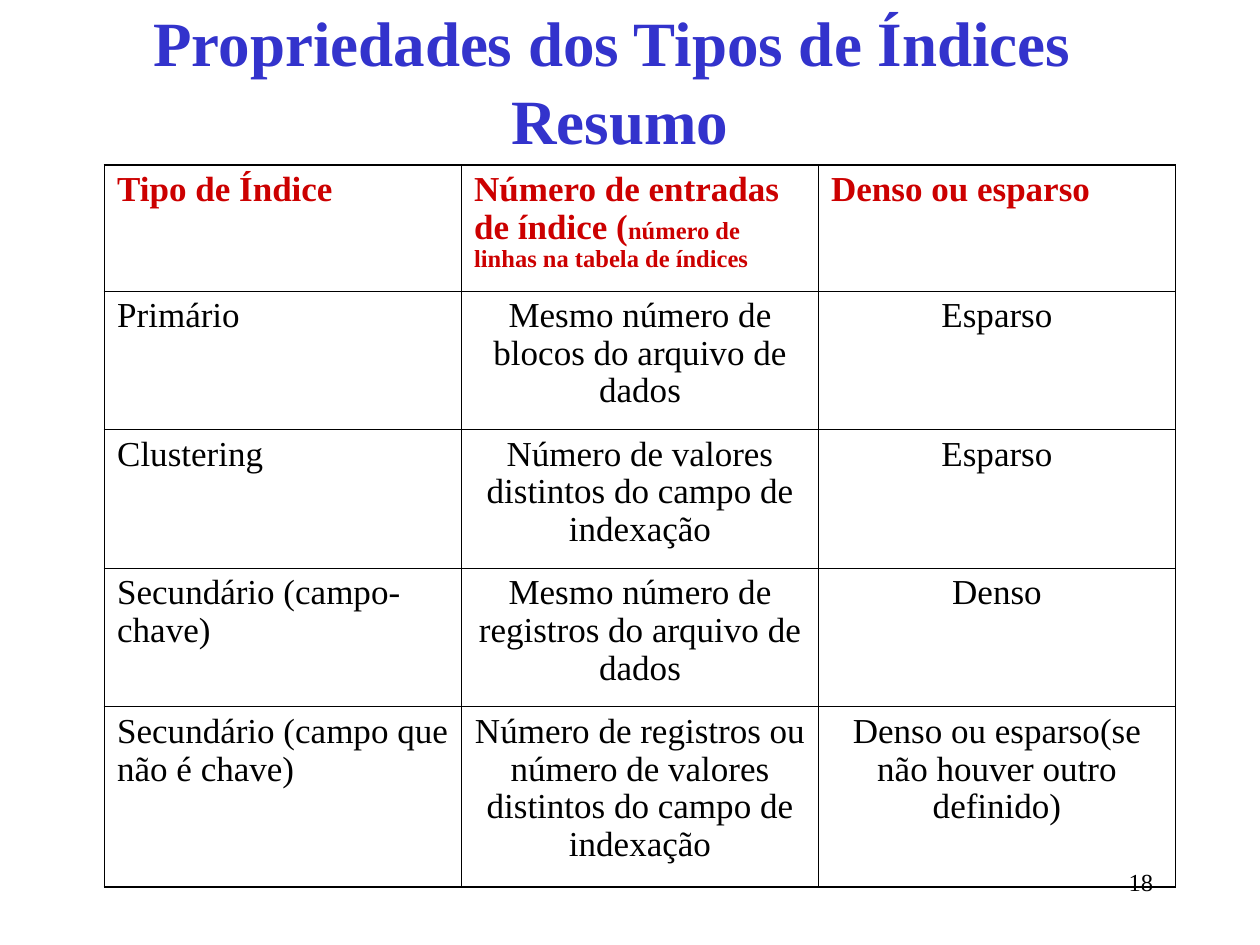
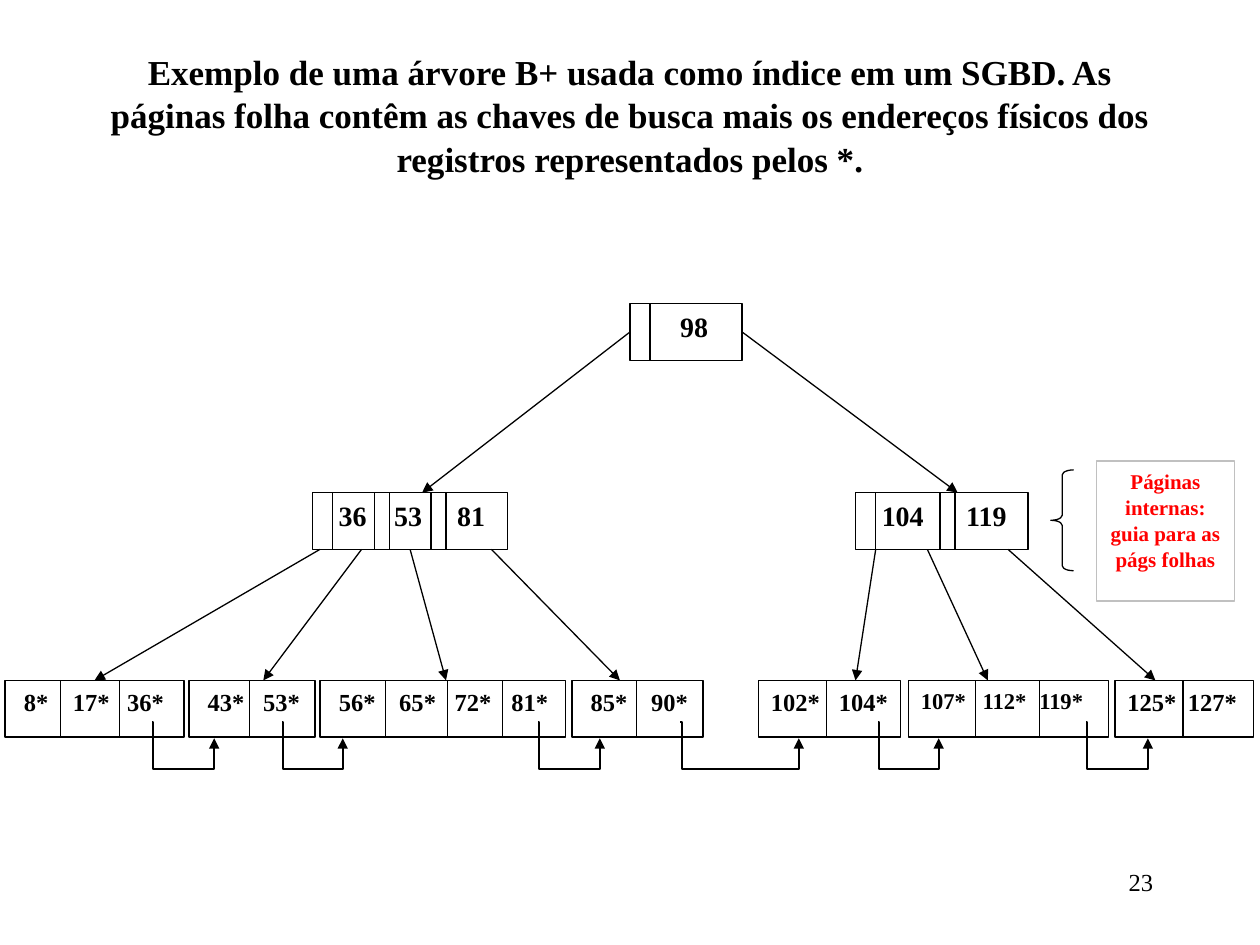
"""Build two slides on database indexes: a summary table and a B+ tree."""
from dataclasses import dataclass

from lxml.etree import SubElement
from pptx import Presentation
from pptx.dml.color import RGBColor
from pptx.enum.shapes import MSO_CONNECTOR, MSO_SHAPE
from pptx.enum.text import MSO_ANCHOR, MSO_AUTO_SIZE, PP_ALIGN
from pptx.oxml.ns import qn
from pptx.util import Inches, Pt


@dataclass(frozen=True)
class Theme:
    font: str = "Times New Roman"
    black: RGBColor = RGBColor(0x00, 0x00, 0x00)
    white: RGBColor = RGBColor(0xFF, 0xFF, 0xFF)
    blue: RGBColor = RGBColor(0x33, 0x33, 0xCC)
    header_red: RGBColor = RGBColor(0xCC, 0x00, 0x00)
    note_red: RGBColor = RGBColor(0xFF, 0x00, 0x00)
    gray: RGBColor = RGBColor(0xC0, 0xC0, 0xC0)
    title_size: float = 36
    text_size: float = 20
    node_size: float = 16
    small_size: float = 14
    tight_size: float = 12.9
    note_size: float = 12
    thin: float = 0.75
    thick: float = 1.25
    inner_border: float = 0.45
    outer_border: float = 1.08
    loose_spacing: float = 1.04
    table_spacing: float = 0.97


theme = Theme()


def format_text(text_frame, size, color=theme.black, bold=False, align=PP_ALIGN.LEFT, spacing=None):
    text_frame.word_wrap = True
    for paragraph in text_frame.paragraphs:
        paragraph.alignment = align
        paragraph.line_spacing = spacing
        for run in paragraph.runs:
            run.font.name = theme.font
            run.font.size = Pt(size)
            run.font.bold = bold
            run.font.color.rgb = color


def add_line(slide, start, end, arrow=False, kind=MSO_CONNECTOR.STRAIGHT, width=theme.thin):
    connector = slide.shapes.add_connector(kind, *map(Inches, start + end))
    connector.line.color.rgb = theme.black
    connector.line.width = Pt(width)
    properties = connector._element.spPr
    if arrow:
        SubElement(properties.find(qn("a:ln")), qn("a:tailEnd"), type="triangle")
    SubElement(properties, qn("a:effectLst"))
    return connector


presentation = Presentation()
presentation.slide_width = Inches(10)
presentation.slide_height = Inches(7.5)

slide_heads = [
    ("Propriedades dos Tipos de Índices \vResumo", 0.67, 0, theme.title_size, theme.blue, "18"),
    ("Exemplo de uma árvore B+ usada como índice em um SGBD. As páginas folha contêm as chaves de "
     "busca mais os endereços físicos dos registros representados pelos *.",
     0.75, 0.28, theme.text_size, theme.black, "23"),
]
slides = []
for text, left, top, size, color, number in slide_heads:
    slide = presentation.slides.add_slide(presentation.slide_layouts[5])
    title = slide.shapes.title
    title.left, title.top, title.width, title.height = map(Inches, (left, top, 8.5, 1.25))
    title.text_frame.text = text
    title.text_frame.auto_size = MSO_AUTO_SIZE.NONE
    title.text_frame.vertical_anchor = MSO_ANCHOR.MIDDLE
    format_text(title.text_frame, size, color, True, PP_ALIGN.CENTER, theme.loose_spacing)
    number_box = slide.shapes.add_textbox(Inches(7.17), Inches(6.83), Inches(2.08), Inches(0.5))
    number_box.text_frame.text = number
    format_text(number_box.text_frame, theme.small_size, align=PP_ALIGN.RIGHT)
    slides.append(slide)
summary_slide, tree_slide = slides

index_rows = [
    ("Tipo de Índice", "Número de entradas de índice (", "Denso ou esparso"),
    ("Primário", "Mesmo número de blocos do arquivo de dados", "Esparso"),
    ("Clustering", "Número de valores distintos do campo de indexação", "Esparso"),
    ("Secundário (campo-chave)", "Mesmo número de registros do arquivo de dados", "Denso"),
    ("Secundário (campo que não é chave)",
     "Número de registros ou número de valores distintos do campo de indexação",
     "Denso ou esparso(se não houver outro definido)"),
]
row_heights = [1, 1.1, 1.1, 1.1, 1.43]
last_row, last_column = len(index_rows) - 1, len(index_rows[0]) - 1
table = summary_slide.shapes.add_table(
    len(index_rows), len(index_rows[0]), Inches(0.83), Inches(1.31), Inches(8.5), Inches(5.73)).table
table.first_row = False
table.horz_banding = False
for row, height in zip(table.rows, row_heights):
    row.height = Inches(height)
for row_index, texts in enumerate(index_rows):
    for column_index, text in enumerate(texts):
        cell = table.cell(row_index, column_index)
        cell.text_frame.text = text
        is_header = row_index == 0
        centered = not is_header and column_index > 0
        format_text(cell.text_frame, theme.text_size, theme.header_red if is_header else theme.black,
                    is_header, PP_ALIGN.CENTER if centered else PP_ALIGN.LEFT, theme.table_spacing)
        cell_properties = cell._tc.get_or_add_tcPr()
        outer_sides = {"lnL": column_index == 0, "lnR": column_index == last_column,
                       "lnT": row_index == 0, "lnB": row_index == last_row}
        for side, is_outer in outer_sides.items():
            width = Pt(theme.outer_border if is_outer else theme.inner_border)
            border = SubElement(cell_properties, qn(f"a:{side}"), w=str(width))
            border_fill = SubElement(border, qn("a:solidFill"))
            SubElement(border_fill, qn("a:srgbClr"), val=str(theme.black))
        cell.fill.background()
entries_paragraph = table.cell(0, 1).text_frame.paragraphs[0]
detail = entries_paragraph.add_run()
detail.text = "número de linhas na tabela de índices"
detail.font.name = theme.font
detail.font.size = Pt(theme.small_size)
detail.font.bold = True
detail.font.color.rgb = theme.header_red

node_height = 0.45
root_top, inner_top, leaf_top = 2.41, 3.91, 5.4
inner_bottom = inner_top + node_height
nodes = [
    (5, root_top, 0.89, theme.node_size, [(0.3, "98")], [5.16]),
    (2.48, inner_top, 1.55, theme.node_size, [(0.11, "36"), (0.55, "53"), (1.05, "81")],
     [2.64, 2.97, 3.09, 3.42, 3.54]),
    (6.79, inner_top, 1.37, theme.node_size, [(0.11, "104"), (0.78, "119")], [6.95, 7.46, 7.58]),
    (0.04, leaf_top, 1.42, theme.small_size, [(0.05, "8*"), (0.44, "17*"), (0.87, "36*")], [0.48, 0.95]),
    (1.5, leaf_top, 1, theme.small_size, [(0.05, "43*"), (0.49, "53*")], [1.98]),
    (2.54, leaf_top, 1.95, theme.small_size,
     [(0.05, "56*"), (0.53, "65*"), (0.97, "72*"), (1.42, "81*")], [3.06, 3.55, 3.99]),
    (4.54, leaf_top, 1.04, theme.small_size, [(0.05, "85*"), (0.53, "90*")], [5.05]),
    (6.02, leaf_top, 1.13, theme.small_size, [(0, "102*"), (0.54, "104*")], [6.56]),
    (7.21, leaf_top, 1.59, theme.tight_size, [(0, "107*"), (0.49, "112*"), (0.94, "119*")], [7.74, 8.25]),
    (8.85, leaf_top, 1.1, theme.small_size, [(0, "125*"), (0.48, "127*")], [9.39]),
]
node_shapes = []
for left, top, width, size, keys, dividers in nodes:
    node = tree_slide.shapes.add_shape(
        MSO_SHAPE.RECTANGLE, Inches(left), Inches(top), Inches(width), Inches(node_height))
    node.shadow.inherit = False
    node.fill.solid()
    node.fill.fore_color.rgb = theme.white
    fill_color = node._element.spPr.find(qn("a:solidFill")).find(qn("a:srgbClr"))
    SubElement(fill_color, qn("a:alpha"), val="50000")
    node.line.color.rgb = theme.black
    node.line.width = Pt(theme.thin)
    node.text_frame.vertical_anchor = MSO_ANCHOR.TOP
    paragraph = node.text_frame.paragraphs[0]
    tab_list = SubElement(paragraph._p.get_or_add_pPr(), qn("a:tabLst"))
    for offset, key in keys:
        if offset:
            SubElement(tab_list, qn("a:tab"), pos=str(Inches(offset)), algn="l")
    paragraph.text = "".join(f"\t{key}" if offset else key for offset, key in keys)
    format_text(node.text_frame, size, bold=True)
    for x in dividers:
        add_line(tree_slide, (x, top), (x, top + node_height))
    node_shapes.append(node)
root, left_inner, right_inner, first_leaf = node_shapes[:4]

root_middle = root_top + node_height / 2
for side, start_x, end_x in [(1, 5, 3.35), (3, 5.89, 7.6)]:
    branch = add_line(tree_slide, (start_x, root_middle), (end_x, inner_top), arrow=True)
    branch.begin_connect(root, side)

child_links = [(2.54, 0.75), (2.87, 2.09), (3.25, 3.54), (3.9, 4.92), (6.95, 6.79), (7.36, 7.84), (8, 9.17)]
child_arrows = [add_line(tree_slide, (start_x, inner_bottom), (end_x, leaf_top), arrow=True)
                for start_x, end_x in child_links]
child_arrows[0].end_connect(first_leaf, 0)
child_arrows[2].begin_connect(left_inner, 2)

leaf_links = [(1.21, 1.7), (2.24, 2.72), (4.27, 4.76), (5.4, 6.34), (6.97, 7.45), (8.62, 9.11)]
for start_x, end_x in leaf_links:
    elbow = add_line(tree_slide, (start_x, 5.73), (end_x, 5.86), True, MSO_CONNECTOR.ELBOW, theme.thick)
    geometry = elbow._element.spPr.find(qn("a:prstGeom"))
    geometry.set("prst", "bentConnector4")
    adjustments = geometry.find(qn("a:avLst"))
    for name, value in [("adj1", 1200), ("adj2", 288400)]:
        SubElement(adjustments, qn("a:gd"), name=name, fmla=f"val {value}")

brace = tree_slide.shapes.add_shape(
    MSO_SHAPE.LEFT_BRACE, Inches(8.34), Inches(3.73), Inches(0.18), Inches(0.8))
brace.adjustments[0] = 0.22
brace.shadow.inherit = False
brace.fill.background()
brace.line.color.rgb = theme.black
brace.line.width = Pt(theme.thin)

note = tree_slide.shapes.add_shape(
    MSO_SHAPE.RECTANGLE, Inches(8.7), Inches(3.66), Inches(1.1), Inches(1.11))
note.shadow.inherit = False
note.fill.solid()
note.fill.fore_color.rgb = theme.white
note.line.color.rgb = theme.gray
note.line.width = Pt(theme.thin)
note.text_frame.text = "Páginas internas: guia para as págs folhas"
note.text_frame.vertical_anchor = MSO_ANCHOR.TOP
format_text(note.text_frame, theme.note_size, theme.note_red, True, PP_ALIGN.CENTER, theme.loose_spacing)

presentation.save("out.pptx")
